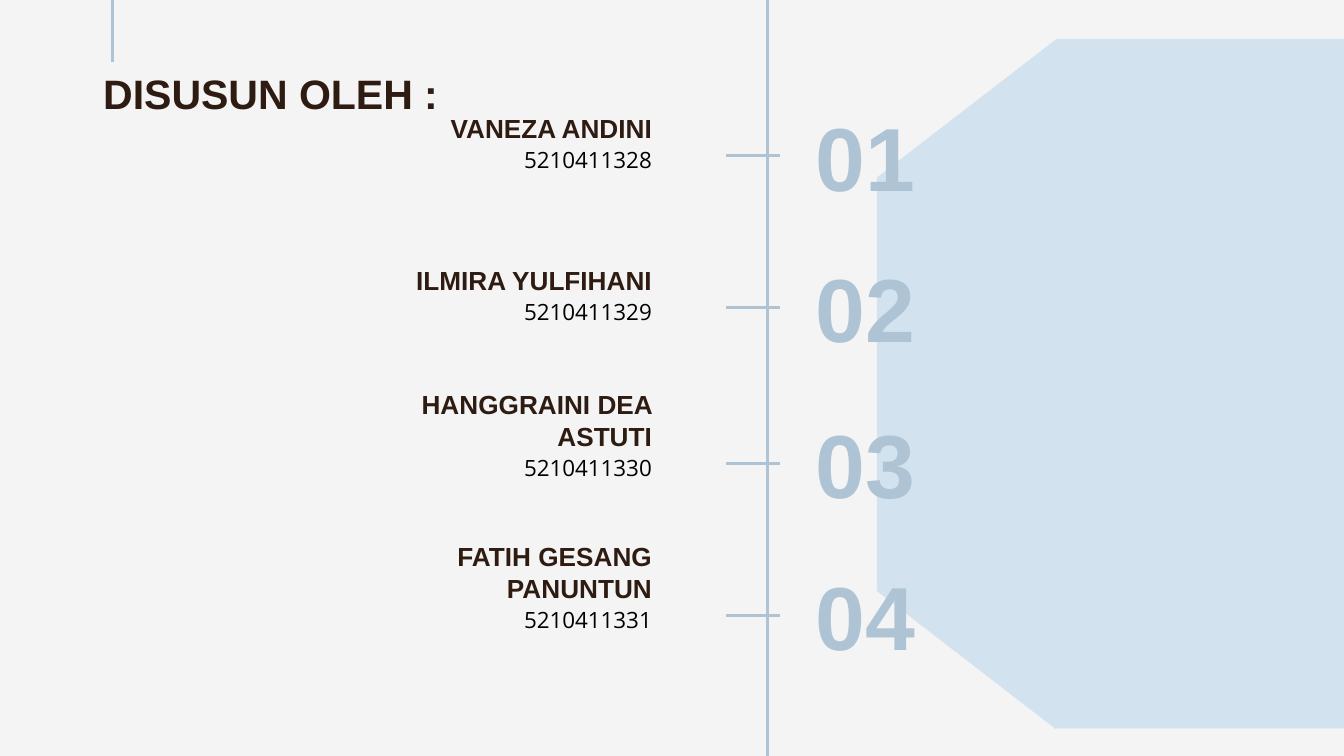
"""Builds the team slide: four members along a vertical timeline."""
from dataclasses import dataclass

from lxml.etree import SubElement
from pptx import Presentation
from pptx.dml.color import RGBColor
from pptx.enum.shapes import MSO_CONNECTOR, MSO_SHAPE
from pptx.enum.text import MSO_ANCHOR, PP_ALIGN
from pptx.oxml.ns import qn
from pptx.util import Inches, Pt


@dataclass(frozen=True)
class TextStyle:
    """Look of one kind of text."""
    font: str
    size: float
    color: str
    bold: bool = True
    align: PP_ALIGN = PP_ALIGN.LEFT
    anchor: MSO_ANCHOR = MSO_ANCHOR.TOP


@dataclass(frozen=True)
class Theme:
    """Colours and type styles of the slide."""
    background: str = "F4F4F4"
    panel: str = "D2E2EE"
    line: str = "AEC4D5"
    line_width: float = 1.5
    title: TextStyle = TextStyle("Arial", 22, "2E1B11")
    name: TextStyle = TextStyle("Arial", 14, "2E1B11", align=PP_ALIGN.RIGHT, anchor=MSO_ANCHOR.BOTTOM)
    student_id: TextStyle = TextStyle("Open Sans", 12, "000000", bold=False, align=PP_ALIGN.RIGHT)
    number: TextStyle = TextStyle("Arial", 48, "AEC4D5", anchor=MSO_ANCHOR.MIDDLE)


THEME = Theme()
SLIDE_WIDTH = Inches(10)
SLIDE_HEIGHT = SLIDE_WIDTH * 9 // 16
COLUMNS = 10
ROWS = COLUMNS * 9 / 16
MEMBER_HEIGHT = 0.63
MEMBERS = [
    (1.16, "VANEZA ANDINI", "5210411328"),
    (2.29, "ILMIRA YULFIHANI", "5210411329"),
    (3.45, "HANGGRAINI DEA ASTUTI", "5210411330"),
    (4.58, "FATIH GESANG PANUNTUN", "5210411331"),
]


def cells(*counts):
    """Turn counts of square grid cells into lengths."""
    return [round(SLIDE_WIDTH * count / COLUMNS) for count in counts]


def add_text(slide, box, text, style):
    """Add a one-paragraph text box."""
    frame = slide.shapes.add_textbox(*cells(*box)).text_frame
    frame.word_wrap = True
    frame.vertical_anchor = style.anchor
    frame.margin_left, frame.margin_top, frame.margin_right, frame.margin_bottom = cells(*[0.1] * 4)
    paragraph = frame.paragraphs[0]
    paragraph.alignment = style.align
    run = paragraph.add_run()
    run.text = text
    run.font.name = style.font
    run.font.size = Pt(style.size)
    run.font.bold = style.bold
    run.font.color.rgb = RGBColor.from_string(style.color)


def add_panel(slide, kind, box, rotation=0):
    """Add a plain filled shape without outline."""
    shape = slide.shapes.add_shape(kind, *cells(*box))
    shape.rotation = rotation
    shape.shadow.inherit = False
    shape.fill.solid()
    shape.fill.fore_color.rgb = RGBColor.from_string(THEME.panel)
    shape.line.fill.background()


def add_line(slide, start, end):
    """Add a straight rule between two grid points."""
    connector = slide.shapes.add_connector(MSO_CONNECTOR.STRAIGHT, *cells(*start, *end))
    connector.line.width = Pt(THEME.line_width)
    connector.line.color.rgb = RGBColor.from_string(THEME.line)
    SubElement(connector._element.spPr, qn("a:effectLst"))


def add_member(slide, number, row, name, student_id):
    """Add one member's name, student number, tick and ordinal."""
    add_text(slide, (2.49, row - 0.62, 2.46, MEMBER_HEIGHT), name, THEME.name)
    add_text(slide, (2.87, row - 0.17, 2.08, MEMBER_HEIGHT), student_id, THEME.student_id)
    add_text(slide, (5.97, row - 0.32, 1.27, MEMBER_HEIGHT), f"{number:02d}", THEME.number)
    add_line(slide, (5.8, row), (5.4, row))


def main():
    """Build and save the presentation."""
    presentation = Presentation()
    presentation.slide_width = SLIDE_WIDTH
    presentation.slide_height = SLIDE_HEIGHT
    slide = presentation.slides.add_slide(presentation.slide_layouts[6])
    background = slide.background.fill
    background.solid()
    background.fore_color.rgb = RGBColor.from_string(THEME.background)

    add_panel(slide, MSO_SHAPE.FLOWCHART_PREPARATION, (5.29, 1.53, 5.13, 2.66), rotation=90)
    add_panel(slide, MSO_SHAPE.RECTANGLE, (7.86, 0.29, COLUMNS - 7.86, 5.13))
    add_text(slide, (0.67, 0.41, 2.8, 1.03), "DISUSUN OLEH :", THEME.title)
    for number, (row, name, student_id) in enumerate(MEMBERS, start=1):
        add_member(slide, number, row, name, student_id)
    add_line(slide, (5.71, 0), (5.71, ROWS))
    add_line(slide, (0.84, 0), (0.84, 0.46))
    presentation.save("out.pptx")


if __name__ == "__main__":
    main()
